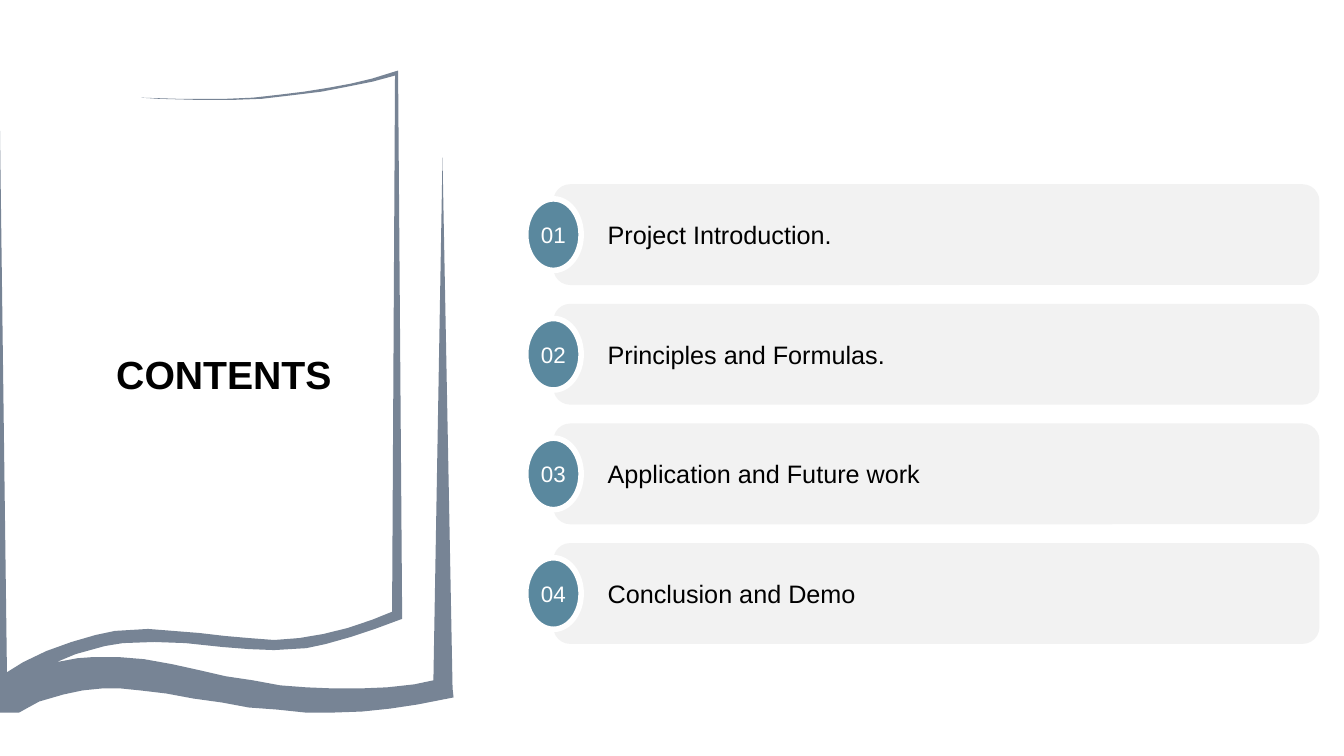
from pptx import Presentation
from pptx.dml.color import RGBColor
from pptx.enum.shapes import MSO_SHAPE as Shape
from pptx.enum.text import MSO_ANCHOR as Anchor, PP_ALIGN as Align
from pptx.util import Pt

TITLE = "CONTENTS"
CHAPTERS = [
    "Project Introduction.",
    "Principles and Formulas.",
    "Application and Future work",
    "Conclusion and Demo",
]

FONT = "Arial"
BLACK = RGBColor(0x00, 0x00, 0x00)
WHITE = RGBColor(0xFF, 0xFF, 0xFF)
SLATE = RGBColor(0x77, 0x84, 0x95)
TEAL = RGBColor(0x5A, 0x88, 0x9E)
LIGHT_GREY = RGBColor(0xF2, 0xF2, 0xF2)

# Edges of the open book in points, followed clockwise from the top right corner.
PAGE_BOTTOM_OUTER = [
    (287.3, 442.1), (267.8, 449.3), (250.6, 455), (232.6, 460.1), (218.9, 463),
    (195.8, 464.4), (177.8, 463.7), (159.1, 462.2), (132.5, 459.4), (110.2, 458.6),
    (87.8, 459.4), (74.9, 461.5), (54, 467.3), (40.3, 473),
]
COVER_TOP = [
    (55.4, 470.2), (66.2, 469.4), (85, 469.4), (103, 470.9), (123.1, 474.5),
    (142.6, 478.8), (161.3, 483.1), (180.7, 486), (200.2, 489.6), (218.9, 491),
    (238.3, 491.8), (257, 491.8), (276.5, 491), (295.9, 488.9), (309.6, 486),
]
RIGHT_SPIKE = [(316.1, 112.3), (323.3, 491.8), (324, 498.2)]
COVER_BOTTOM = [
    (298.1, 503.3), (278.6, 506.2), (258.5, 508.3), (238.3, 509), (218.2, 509),
    (198, 506.9), (177.8, 505.4), (158.4, 501.8), (138.2, 499), (118.8, 495.4),
    (100.1, 493.2), (86.4, 491.8), (72.7, 491.8), (59, 493.2), (45.4, 496.1),
    (28.1, 501.1), (20.2, 505.4), (13.7, 509), (0, 509),
]
LEFT_SPIKE = [(0, 91.4), (5, 480.2)]
PAGE_BOTTOM_INNER = [
    (16.6, 473), (33.1, 465.1), (51.1, 458.6), (68.4, 453.6), (82.1, 450.7),
    (105.8, 449.3), (123.8, 450.7), (142.6, 452.2), (160.6, 454.3), (177.8, 455.8),
    (195.8, 457.2), (213.8, 455.8), (231.1, 452.9), (248.4, 448.6), (265.7, 442.8),
    (280.1, 437),
]
PAGE_TOP_INNER = [
    (282.2, 54), (266.4, 58.3), (248.4, 61.9), (229.7, 65.5), (211.7, 67.7),
    (187.2, 70.6), (168.5, 71.3), (138.2, 71.3), (113, 70.6), (100.8, 69.8),
]
PAGE_TOP_OUTER = [
    (126, 70.6), (162, 70.6), (180.7, 69.8), (199.4, 67.7), (217.4, 65.5),
    (235.4, 62.6), (250.6, 59.8), (265.7, 56.2), (284.4, 50.4),
]
BOOK = (PAGE_BOTTOM_OUTER + COVER_TOP + RIGHT_SPIKE + COVER_BOTTOM + LEFT_SPIKE
        + PAGE_BOTTOM_INNER + PAGE_TOP_INNER + PAGE_TOP_OUTER)

BAR_LEFT, BAR_TOP, BAR_WIDTH, BAR_HEIGHT = 395.3, 131.6, 547.2, 72
BAR_PITCH = 85.45
BADGE_WIDTH, BADGE_HEIGHT = 39.6, 51.1
TEXT_INDENT = 35.3


def write(shape, text, size, color, align, wrap=False, bold=False):
    frame = shape.text_frame
    frame.word_wrap = wrap
    frame.vertical_anchor = Anchor.MIDDLE
    paragraph = frame.paragraphs[0]
    paragraph.text = text
    paragraph.alignment = align
    font = paragraph.font
    font.name, font.size, font.bold = FONT, Pt(size), bold
    font.color.rgb = color


def paint(shape, fill):
    """Give the shape a plain fill without line or shadow."""
    shape.shadow.inherit = False
    shape.fill.solid()
    shape.fill.fore_color.rgb = fill
    shape.line.fill.background()


def add_book(slide):
    start, *rest = [(Pt(x), Pt(y)) for x, y in BOOK]
    builder = slide.shapes.build_freeform(*start)
    builder.add_line_segments(rest, close=True)
    paint(builder.convert_to_shape(), SLATE)


def add_chapter(slide, index, name):
    top = BAR_TOP + index * BAR_PITCH
    group = slide.shapes.add_group_shape()

    bar = group.shapes.add_shape(Shape.ROUNDED_RECTANGLE, Pt(BAR_LEFT), Pt(top),
                                 Pt(BAR_WIDTH), Pt(BAR_HEIGHT))
    paint(bar, LIGHT_GREY)
    write(bar, name, 18, BLACK, Align.LEFT, wrap=True)
    bar.text_frame.margin_left = Pt(TEXT_INDENT)

    badge = group.shapes.add_shape(Shape.OVAL, Pt(BAR_LEFT - BADGE_WIDTH / 2),
                                   Pt(top + (BAR_HEIGHT - BADGE_HEIGHT) / 2),
                                   Pt(BADGE_WIDTH), Pt(BADGE_HEIGHT))
    paint(badge, TEAL)
    badge.line.color.rgb = WHITE
    badge.line.width = Pt(4)
    write(badge, f"{index + 1:02}", 16, WHITE, Align.CENTER)


def main():
    presentation = Presentation()
    presentation.slide_width, presentation.slide_height = Pt(960), Pt(540)
    slide = presentation.slides.add_slide(presentation.slide_layouts[6])

    add_book(slide)
    title = slide.shapes.add_textbox(Pt(59.8), Pt(244.8), Pt(200.2), Pt(44.6))
    write(title, TITLE, 28, BLACK, Align.CENTER, bold=True)
    for index, name in enumerate(CHAPTERS):
        add_chapter(slide, index, name)

    presentation.save("out.pptx")


if __name__ == "__main__":
    main()
